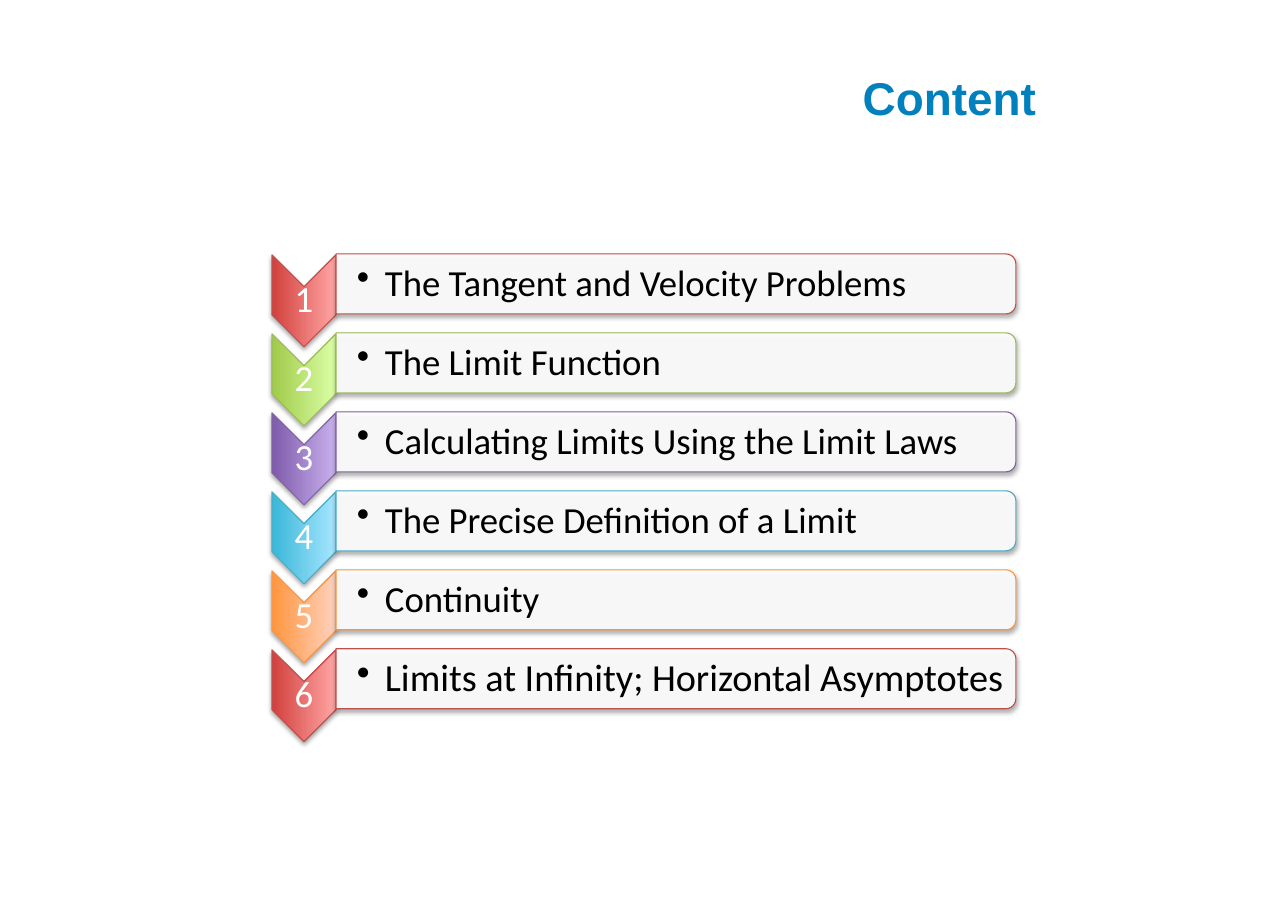
from dataclasses import dataclass
from itertools import cycle

from lxml import etree
from pptx import Presentation, util as u
from pptx.dml.color import RGBColor
from pptx.enum import shapes, text
from pptx.oxml import ns

PX = 8298
ROW_PITCH = 79


@dataclass(frozen=True)
class Theme:
    heading: str = "0081BD"
    number: str = "FFFFFF"
    topic: str = "000000"
    bar: str = "FFFFFF"
    bar_alpha: int = 90
    heading_font: str = "Arial"
    body_font: str = "Calibri"
    heading_size: int = 30
    body_size: int = 24
    last_size: int = 25
    accents: tuple = (
        ("C0504D", "D1403C", "FFA6A5"),
        ("9BBB59", "A0CA4A", "DAFFA5"),
        ("8064A2", "7F5BAB", "C8B0ED"),
        ("4BACC6", "39B7D8", "A7E6FF"),
        ("F79646", "FF953E", "FFD2BD"),
    )


def px(length):
    return u.Emu(length * PX)


def add_xml(parent, tag, **attributes):
    values = {name: str(value) for name, value in attributes.items()}
    return etree.SubElement(parent, ns.qn(tag), values)


class ContentSlide:
    def __init__(self, deck, theme):
        self.theme = theme
        self.slide = deck.slides.add_slide(deck.slide_layouts[6])

    def upright(self, preset, center_x, center_y, length, breadth, outline):
        block = self.slide.shapes.add_shape(
            preset, px(center_x) - px(length) // 2, px(center_y) - px(breadth) // 2,
            px(length), px(breadth))
        block.rotation = 90
        block.line.color.rgb = RGBColor.from_string(outline)
        block.line.width = u.Pt(0.75)
        block.shadow.inherit = False
        effects = block._element.spPr.find(ns.qn("a:effectLst"))
        shade = add_xml(effects, "a:outerShdw", blurRad=u.Pt(3.1), dist=u.Pt(1.8),
                        dir=5400000, rotWithShape=0)
        add_xml(add_xml(shade, "a:srgbClr", val="000000"), "a:alpha", val=35000)
        return block

    def chevron(self, center_x, center_y, accent):
        outline, dark, light = accent
        arrow = self.upright(shapes.MSO_SHAPE.CHEVRON, center_x, center_y, 92, 64, outline)
        arrow.fill.gradient()
        arrow.fill.gradient_angle = 90
        for stop, color in zip(arrow.fill.gradient_stops, (dark, light)):
            stop.color.rgb = RGBColor.from_string(color)

    def bar(self, center_x, center_y, accent):
        panel = self.upright(shapes.MSO_SHAPE.ROUND_2_SAME_RECTANGLE,
                             center_x, center_y, 60, 680, accent[0])
        panel.fill.solid()
        panel.fill.fore_color.rgb = RGBColor.from_string(self.theme.bar)
        color = panel._element.spPr.find(ns.qn("a:solidFill"))[0]
        add_xml(color, "a:alpha", val=self.theme.bar_alpha * 1000)

    def label(self, words, box, color, size, font, align, bold=False,
              insets=None, spacing=None, bullet=False):
        frame = self.slide.shapes.add_textbox(*map(px, box)).text_frame
        frame.word_wrap = True
        frame.vertical_anchor = text.MSO_ANCHOR.MIDDLE
        if insets:
            (frame.margin_left, frame.margin_top,
             frame.margin_right, frame.margin_bottom) = map(px, insets)
        line = frame.paragraphs[0]
        line.text = words
        line.alignment = align
        if spacing:
            line.line_spacing = spacing
        if bullet:
            properties = line._p.get_or_add_pPr()
            properties.set("marL", str(px(28)))
            properties.set("indent", str(px(-28)))
            add_xml(properties, "a:buChar", char="•")
        line.font.name = font
        line.font.size = u.Pt(size)
        line.font.bold = bold
        line.font.color.rgb = RGBColor.from_string(color)

    def heading(self, words):
        self.label(words, (55, 28, 992, 138), self.theme.heading, self.theme.heading_size,
                   self.theme.heading_font, text.PP_ALIGN.RIGHT, bold=True)

    def row(self, number, topic, accent, size):
        offset = (number - 1) * ROW_PITCH
        self.chevron(304, 301 + offset, accent)
        self.label(str(number), (272, 287 + offset, 64, 28), self.theme.number,
                   self.theme.body_size, self.theme.body_font, text.PP_ALIGN.CENTER,
                   insets=(2, 2, 2, 2), spacing=0.9)
        self.bar(676, 284 + offset, accent)
        self.label(topic, (336, 258 + offset, 677, 53), self.theme.topic, size,
                   self.theme.body_font, text.PP_ALIGN.LEFT,
                   insets=(21, 2, 2, 2), spacing=0.9, bullet=True)


def main():
    theme = Theme()
    deck = Presentation()
    deck.slide_width, deck.slide_height = u.Inches(11.69), u.Inches(8.27)
    content = ContentSlide(deck, theme)
    topics = (
        "The Tangent and Velocity Problems",
        "The Limit Function",
        "Calculating Limits Using the Limit Laws",
        "The Precise Definition of a Limit",
        "Continuity",
        "Limits at Infinity; Horizontal Asymptotes",
    )
    for number, (topic, accent) in enumerate(zip(topics, cycle(theme.accents)), 1):
        size = theme.last_size if number == len(topics) else theme.body_size
        content.row(number, topic, accent, size)
    content.heading("Content")
    deck.save("out.pptx")


if __name__ == "__main__":
    main()
